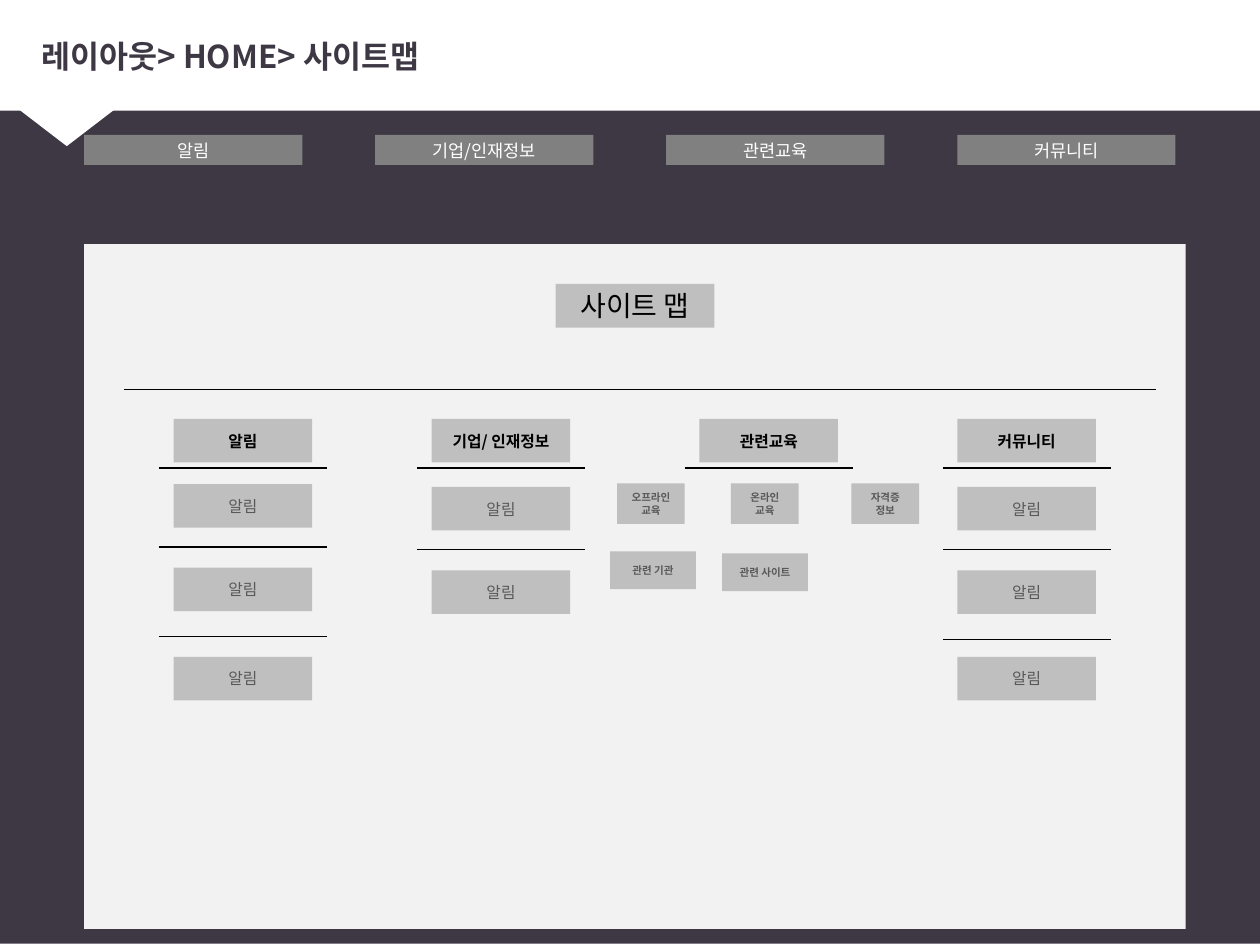
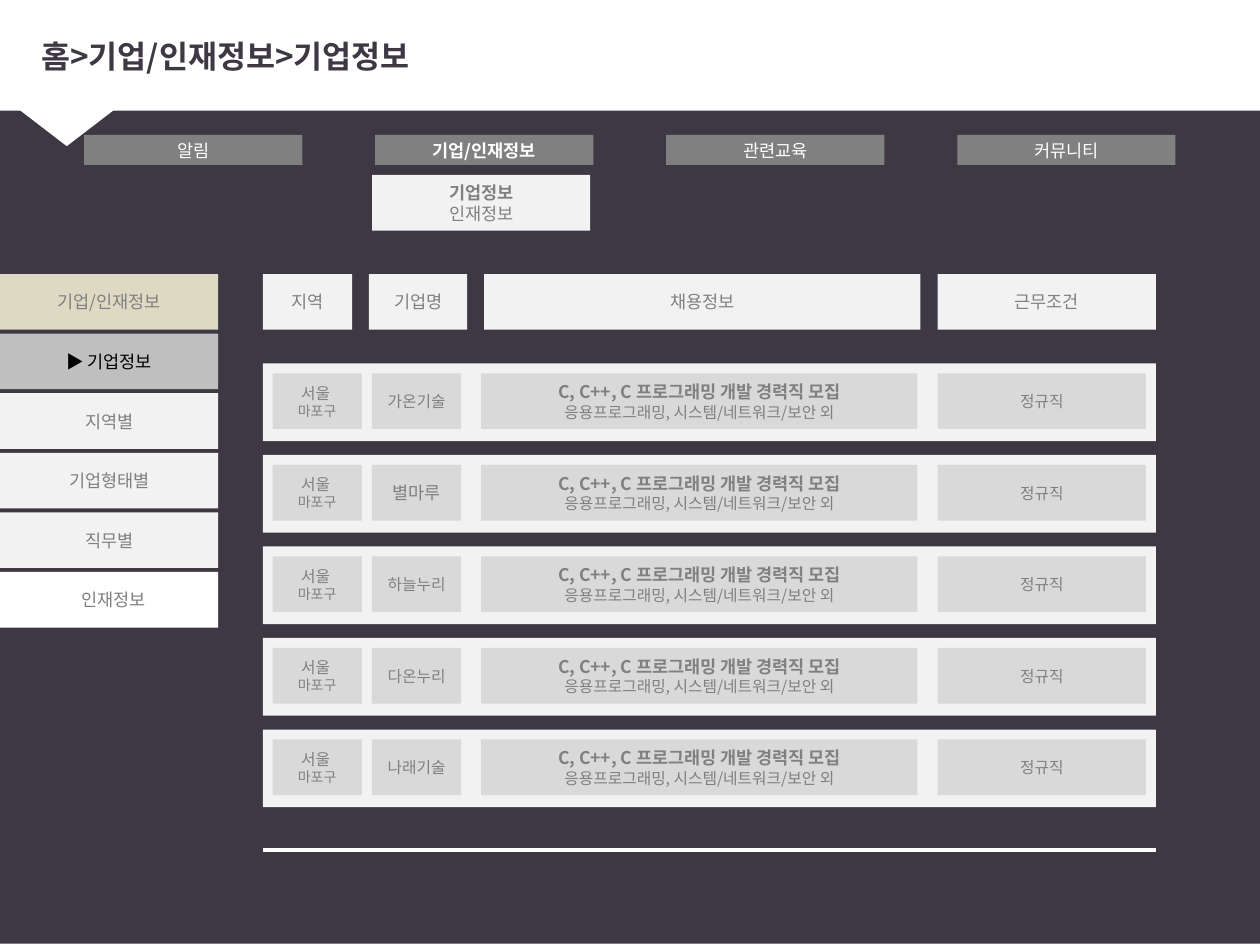
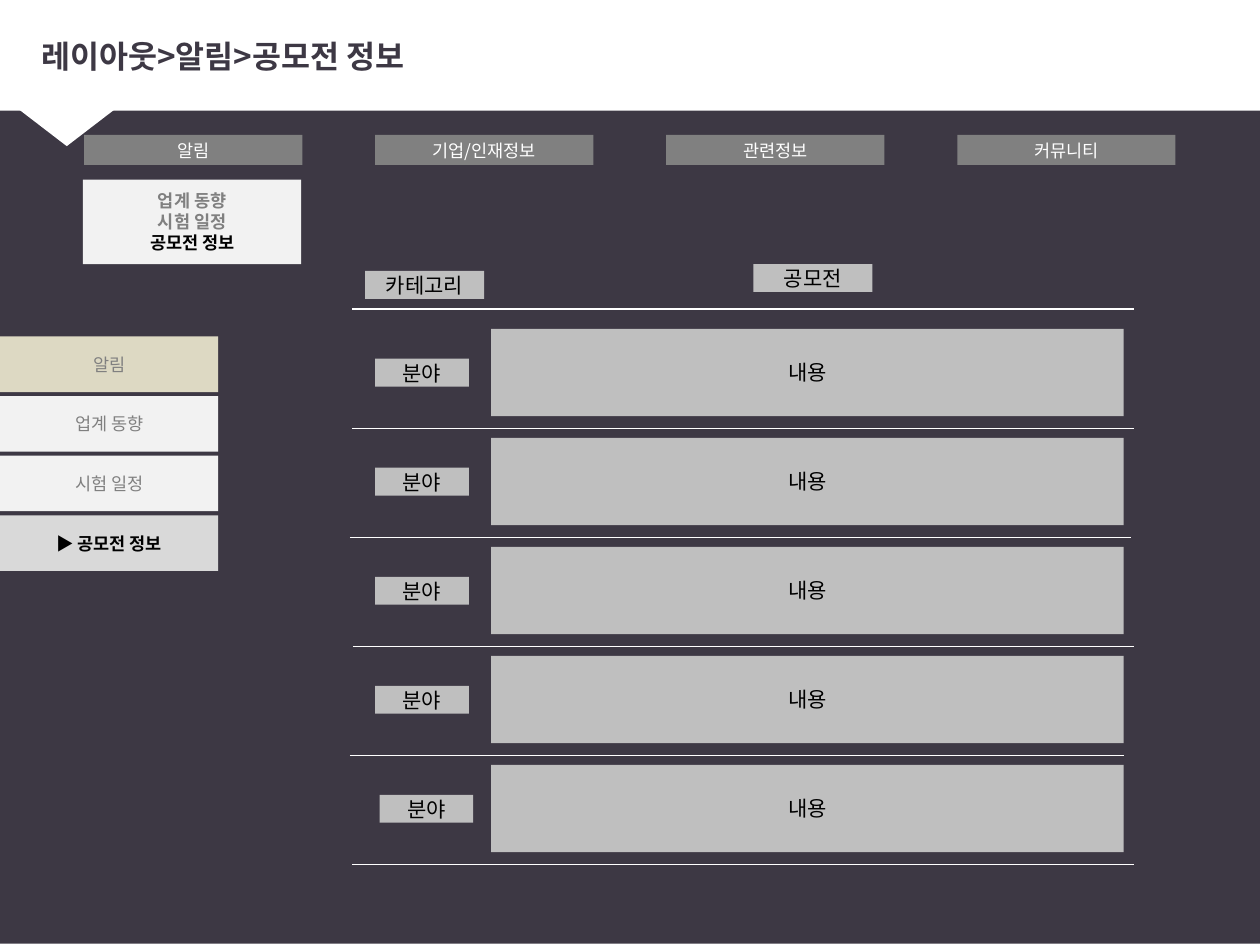
from dataclasses import dataclass

from lxml.etree import SubElement
from pptx import Presentation
from pptx.dml.color import RGBColor as Rgb
from pptx.enum.shapes import MSO_CONNECTOR as Connector, MSO_SHAPE as Preset
from pptx.enum.text import MSO_ANCHOR as Anchor, PP_ALIGN as Align
from pptx.oxml.ns import qn
from pptx.util import Pt


@dataclass(frozen=True)
class Theme:
    font: str = "Noto Sans CJK KR"
    dark: str = "3D3844"
    white: str = "FFFFFF"
    black: str = "000000"
    gray: str = "808080"
    charcoal: str = "595959"
    silver: str = "BFBFBF"
    light: str = "D9D9D9"
    pale: str = "F2F2F2"
    sand: str = "DDD9C3"
    title: int = 18
    heading: int = 16
    label: int = 12
    body: int = 10
    small: int = 9
    note: int = 8
    tiny: int = 6
    hairline: float = 0.5
    thin: float = 0.75
    medium: float = 1.5
    thick: float = 2.25


T = Theme()


def add_box(shapes, left, top, width, height, fill, *lines, preset=Preset.RECTANGLE, align=Align.CENTER):
    """Plain filled shape; each line is (text, size, colour) with an optional bold flag."""
    box = shapes.add_shape(preset, Pt(left), Pt(top), Pt(width), Pt(height))
    box.shadow.inherit = False
    box.line.fill.background()
    box.fill.solid()
    box.fill.fore_color.rgb = Rgb.from_string(fill)
    frame = box.text_frame
    frame.word_wrap = True
    frame.vertical_anchor = Anchor.MIDDLE
    for index, (text, size, colour, *bold) in enumerate(lines):
        paragraph = frame.add_paragraph() if index else frame.paragraphs[0]
        paragraph.alignment = align
        run = paragraph.add_run()
        run.text = text
        run.font.size = Pt(size)
        run.font.bold = any(bold)
        run.font.color.rgb = Rgb.from_string(colour)
        run.font.name = T.font
        SubElement(run.font._element, qn("a:ea"), typeface=T.font)
    return box


def add_rule(shapes, left, right, y, colour, weight):
    rule = shapes.add_connector(Connector.STRAIGHT, Pt(left), Pt(y), Pt(right), Pt(y))
    rule.line.color.rgb = Rgb.from_string(colour)
    rule.line.width = Pt(weight)
    SubElement(rule._element.spPr, qn("a:effectLst"))


deck = Presentation()
deck.slide_width, deck.slide_height = Pt(720), Pt(540)

# Shared frame: dark page, title band with pointer, top menu
MENU_WIDTH, MENU_PITCH = 124.7, 166.3
pages = [
    ("레이아웃> HOME> 사이트맵", "관련교육", None),
    ("홈>기업/인재정보>기업정보", "관련교육", "기업/인재정보"),
    ("레이아웃>알림>공모전 정보", "관련정보", None),
]
canvases = []
for title, third_menu, current_menu in pages:
    canvas = deck.slides.add_slide(deck.slide_layouts[6]).shapes
    add_box(canvas, 0, 0, 720, 539.3, T.dark)
    add_box(canvas, 0, 0, 720, 63.2, T.white)
    pointer = add_box(canvas, -14.4, 43.2, 105.1, 40.3, T.white, preset=Preset.ISOSCELES_TRIANGLE)
    pointer.rotation = 180
    heading = add_box(canvas, 16.6, 9.4, 695.5, 44.6, T.white,
                      (title, T.title, T.dark, True), align=Align.LEFT)
    heading.fill.background()
    for column, menu in enumerate(["알림", "기업/인재정보", third_menu, "커뮤니티"]):
        add_box(canvas, 48.1 + column * MENU_PITCH, 77.1, MENU_WIDTH, 17.2, T.gray,
                (menu, T.body, T.white, menu == current_menu))
    canvases.append(canvas)
sitemap, companies, contests = canvases

# Site map: panel and heading
add_box(sitemap, 48.1, 139.5, 629.5, 391.3, T.pale)
add_box(sitemap, 317.5, 162.2, 90.7, 25, T.silver, ("사이트 맵", T.heading, T.black))
add_rule(sitemap, 70.8, 660.5, 222.5, T.black, T.hairline)

# Site map: columns as (name, left, item tops, divider heights)
columns = [
    ("알림", 90.7, [276.6, 324.4, 375.4], [312.5, 363.6]),
    ("기업/ 인재정보", 238.2, [278.3, 326, ], [313.9]),
    ("관련교육", 391.2, [], []),
    ("커뮤니티", 538.6, [278.3, 326, 375.4], [313.9, 365.5]),
]
for name, left, item_tops, dividers in columns:
    add_box(sitemap, left + 8.5, 239.4, 79.2, 24.9, T.silver, (name, T.small, T.black, True))
    add_rule(sitemap, left, left + 96.2, 267.5, T.black, T.medium)
    for top in item_tops:
        add_box(sitemap, left + 8.5, top, 79.2, 24.9, T.silver, ("알림", T.small, T.charcoal))
    for y in dividers:
        add_rule(sitemap, left, left + 96.2, y, T.black, T.thin)

# Site map: education links
links = [
    (352.6, 276.3, 38.7, 23.2, ["오프라인 교육"]),
    (417.7, 276.3, 38.7, 23.2, ["온라인", "교육"]),
    (486.5, 276.3, 38.7, 23.2, ["자격증", "정보"]),
    (348.6, 315.1, 49.1, 21.6, ["관련 기관"]),
    (412.6, 316.2, 49.1, 21.6, ["관련 사이트"]),
]
for left, top, width, height, words in links:
    add_box(sitemap, left, top, width, height, T.silver,
            *[(word, T.tiny, T.charcoal, True) for word in words])

# Companies and contests: drop-down under the top menu
add_box(companies, 212.6, 100, MENU_WIDTH, 31.8, T.pale,
        ("기업정보", T.body, T.gray, True), ("인재정보", T.body, T.gray))
add_box(contests, 47.4, 102.6, MENU_WIDTH, 48.4, T.pale,
        ("업계 동향", T.body, T.gray, True), ("시험 일정", T.body, T.gray, True),
        ("공모전 정보", T.body, T.black, True))

# Companies and contests: side menu
side_menus = [
    (companies, 156.6, [
        ("기업/인재정보", T.sand, T.gray, False),
        ("▶ 기업정보", T.silver, T.black, False),
        ("지역별", T.pale, T.gray, False),
        ("기업형태별", T.pale, T.gray, False),
        ("직무별", T.pale, T.gray, False),
        ("인재정보", T.white, T.gray, False),
    ]),
    (contests, 192.3, [
        ("알림", T.sand, T.gray, False),
        ("업계 동향", T.pale, T.gray, False),
        ("시험 일정", T.pale, T.gray, False),
        ("▶ 공모전 정보", T.light, T.black, True),
    ]),
]
for canvas, top, entries in side_menus:
    for row, (entry, fill, colour, bold) in enumerate(entries):
        side_entry = add_box(canvas, 0, top + row * 34.05, MENU_WIDTH, 31.8, fill,
                             (entry, T.body, colour, bold))
        if entry == "인재정보":
            side_entry.text_frame.margin_left = Pt(12)

# Companies: list header
for name, left, width in [("지역", 150.2, 51), ("기업명", 210.8, 56.2),
                          ("채용정보", 276.6, 249.4), ("근무조건", 535.8, MENU_WIDTH)]:
    add_box(companies, left, 156.6, width, 31.8, T.pale, (name, T.body, T.gray))

# Companies: one group per job posting
postings = [("가온기술", T.small), ("별마루", T.body), ("하늘누리", T.small),
            ("다온누리", T.small), ("나래기술", T.small)]
for row, (company, company_size) in enumerate(postings):
    top = 207.7 + row * 52.3
    posting = companies.add_group_shape().shapes
    add_box(posting, 150.2, top, 510.3, 44.4, T.pale)
    cells = [
        (155.8, 51, [("서울 ", T.small, T.gray), ("마포구", T.note, T.gray)]),
        (212.5, 51, [(company, company_size, T.gray)]),
        (274.9, 249.4, [("C, C++, C 프로그래밍 개발 경력직 모집", T.body, T.gray, True),
                        ("응용프로그래밍, 시스템/네트워크/보안 외", T.small, T.gray)]),
        (535.8, 119, [("정규직", T.small, T.gray)]),
    ]
    for left, width, lines in cells:
        add_box(posting, left, top + 5.7, width, 31.8, T.light, *lines)
add_rule(companies, 150.2, 660.5, 485.5, T.white, T.thick)

# Contests: list header
add_box(contests, 208.6, 154.8, 68, 16, T.silver, ("카테고리", T.label, T.black))
add_box(contests, 430.5, 150.9, 68, 16, T.silver, ("공모전", T.label, T.black))
add_rule(contests, 201.4, 648, 176.6, T.white, T.thin)

# Contests: rows as (field left, rule start, rule end)
rows = [(214.4, 201.4, 648), (214.4, 200, 646.4), (214.4, 201.6, 648),
        (214.4, 200, 642.2), (216.9, 201.4, 648)]
for row, (field_left, rule_start, rule_end) in enumerate(rows):
    offset = row * 62.3
    add_box(contests, field_left, 205 + offset, 53.5, 16, T.silver, ("분야", T.label, T.black))
    add_box(contests, 280.6, 187.9 + offset, 361.5, 49.9, T.silver, ("내용", T.label, T.black))
    add_rule(contests, rule_start, rule_end, 244.9 + offset, T.white, T.thin)

deck.save("out.pptx")
